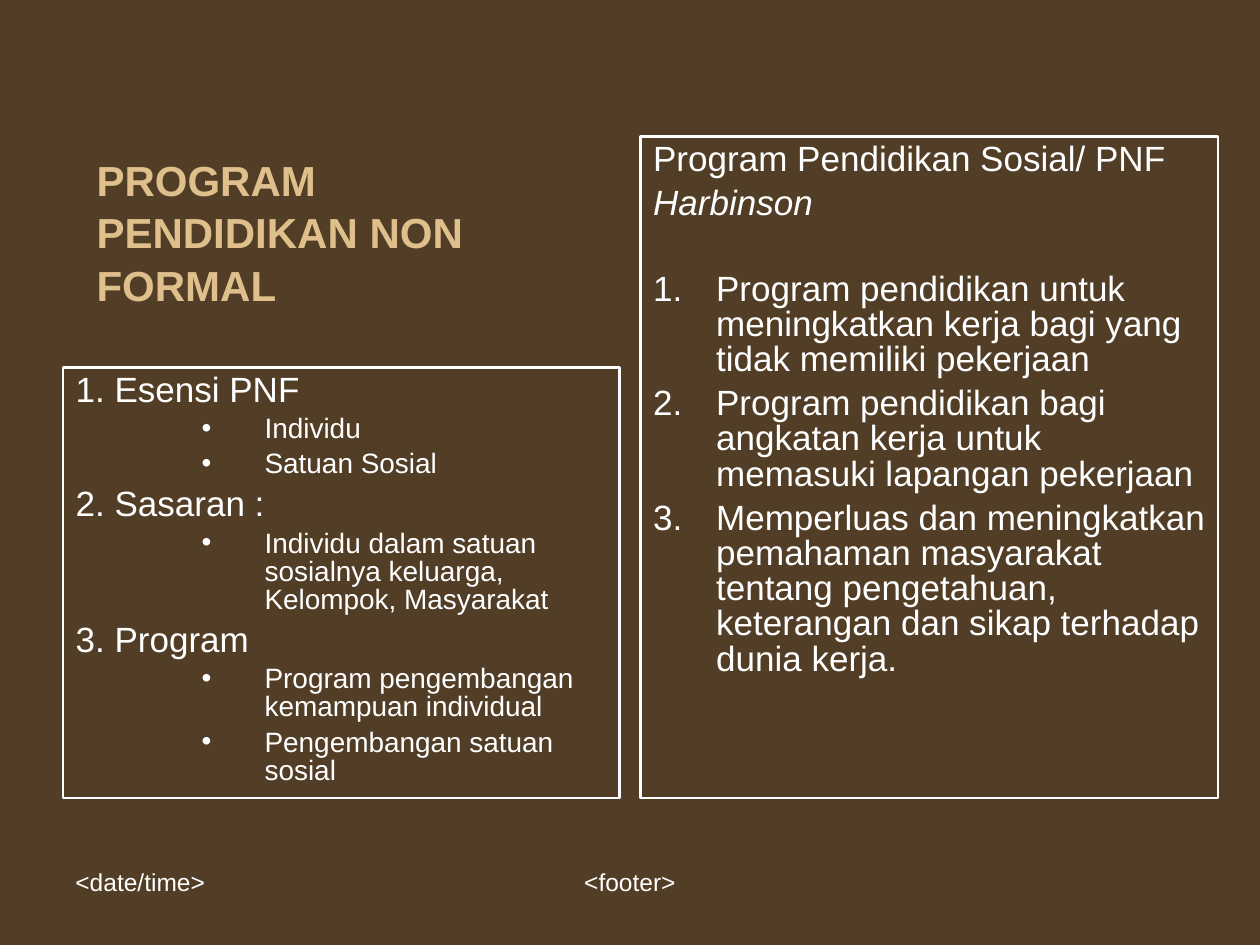
from lxml.etree import SubElement
from pptx import Presentation
from pptx.dml.color import RGBColor
from pptx.enum.text import MSO_ANCHOR, MSO_AUTO_SIZE, PP_ALIGN
from pptx.oxml.ns import qn
from pptx.util import Pt

COLORS = {"background": "523E26", "title": "DFC08D", "text": "FFFFFF"}
FONT = "Arial"

TITLE = "PROGRAM\vPENDIDIKAN NON FORMAL"
OUTLINE = [
    ("1. Esensi PNF", ["Individu", "Satuan Sosial"]),
    ("2. Sasaran :", ["Individu dalam satuan sosialnya keluarga, Kelompok, Masyarakat"]),
    ("3. Program", ["Program pengembangan kemampuan individual", "Pengembangan satuan sosial"]),
]
PROGRAM_HEADING = "Program Pendidikan Sosial/ PNF"
PROGRAM_AUTHOR = "Harbinson"
PROGRAMS = [
    "Program pendidikan untuk meningkatkan kerja bagi yang tidak memiliki pekerjaan",
    "Program pendidikan bagi angkatan kerja untuk memasuki lapangan pekerjaan",
    "Memperluas dan meningkatkan pemahaman masyarakat tentang pengetahuan, "
    "keterangan dan sikap terhadap dunia kerja.",
]
# text, left, width, alignment
FOOTERS = [
    ("<date/time>", 36, 168, PP_ALIGN.LEFT),
    ("<footer>", 246, 228, PP_ALIGN.CENTER),
]

BODY = dict(size=20, spacing=0.84, before=5)
POINT = dict(size=16, spacing=0.84, before=4, level=2, margin=108, indent=-36, bullet="•")
NUMBERED = dict(BODY, margin=36, indent=-36, bullet="1.")


def rgb(name):
    return RGBColor.from_string(COLORS[name])


def place(shape, left, top, width, height, anchor=MSO_ANCHOR.TOP, outlined=False):
    """Position a shape and return its text frame, ready for writing."""
    shape.left, shape.top, shape.width, shape.height = map(Pt, (left, top, width, height))
    if outlined:
        shape.line.color.rgb = rgb("text")
        shape.line.width = Pt(1.5)
    frame = shape.text_frame
    frame.word_wrap = True
    frame.auto_size = MSO_AUTO_SIZE.NONE
    frame.vertical_anchor = anchor
    return frame


def set_bullet(properties, bullet):
    """Use automatic numbers for "1.", any other character as a bullet, or nothing."""
    if not bullet:
        SubElement(properties, qn("a:buNone"))
        return
    color = SubElement(properties, qn("a:buClr"))
    SubElement(color, qn("a:srgbClr"), val=COLORS["text"])
    SubElement(properties, qn("a:buFont"), typeface=FONT)
    if bullet == "1.":
        SubElement(properties, qn("a:buAutoNum"), type="arabicPeriod")
    else:
        SubElement(properties, qn("a:buChar"), char=bullet)


def write(frame, text, *, size, color="text", bold=False, italic=False,
          align=PP_ALIGN.LEFT, spacing=1.0, before=0, level=0,
          margin=0, indent=0, bullet=None):
    """Fill the first paragraph of the frame if it is empty, else add one."""
    first = frame.paragraphs[0]
    paragraph = frame.add_paragraph() if first.text else first
    paragraph.text = text
    paragraph.alignment = align
    paragraph.level = level
    paragraph.line_spacing = spacing
    paragraph.space_before = Pt(before)
    properties = paragraph._p.get_or_add_pPr()
    properties.set("marL", str(Pt(margin)))
    properties.set("indent", str(Pt(indent)))
    set_bullet(properties, bullet)
    for run in paragraph.runs:
        font = run.font
        font.name, font.size, font.bold, font.italic = FONT, Pt(size), bold, italic
        font.color.rgb = rgb(color)


def main():
    presentation = Presentation()
    presentation.slide_width, presentation.slide_height = Pt(720), Pt(540)
    slide = presentation.slides.add_slide(presentation.slide_layouts[3])
    slide.background.fill.solid()
    slide.background.fill.fore_color.rgb = rgb("background")
    title, outline, programs = slide.placeholders

    frame = place(title, 48, 102, 282, 60, anchor=MSO_ANCHOR.MIDDLE)
    write(frame, TITLE, size=24, color="title", bold=True, spacing=1.04)

    frame = place(outline, 36, 210, 318, 246, outlined=True)
    for heading, points in OUTLINE:
        write(frame, heading, **BODY)
        for point in points:
            write(frame, point, **POINT)

    frame = place(programs, 366, 78, 330, 378, outlined=True)
    write(frame, PROGRAM_HEADING, **BODY)
    write(frame, PROGRAM_AUTHOR, italic=True, **BODY)
    for number, program in enumerate(PROGRAMS):
        gap = 29 if number == 0 else BODY["before"]
        write(frame, program, **dict(NUMBERED, before=gap))

    for text, left, width, align in FOOTERS:
        box = slide.shapes.add_textbox(0, 0, 0, 0)
        write(place(box, left, 492, width, 37.5), text, size=14, align=align)

    presentation.save("out.pptx")


if __name__ == "__main__":
    main()
